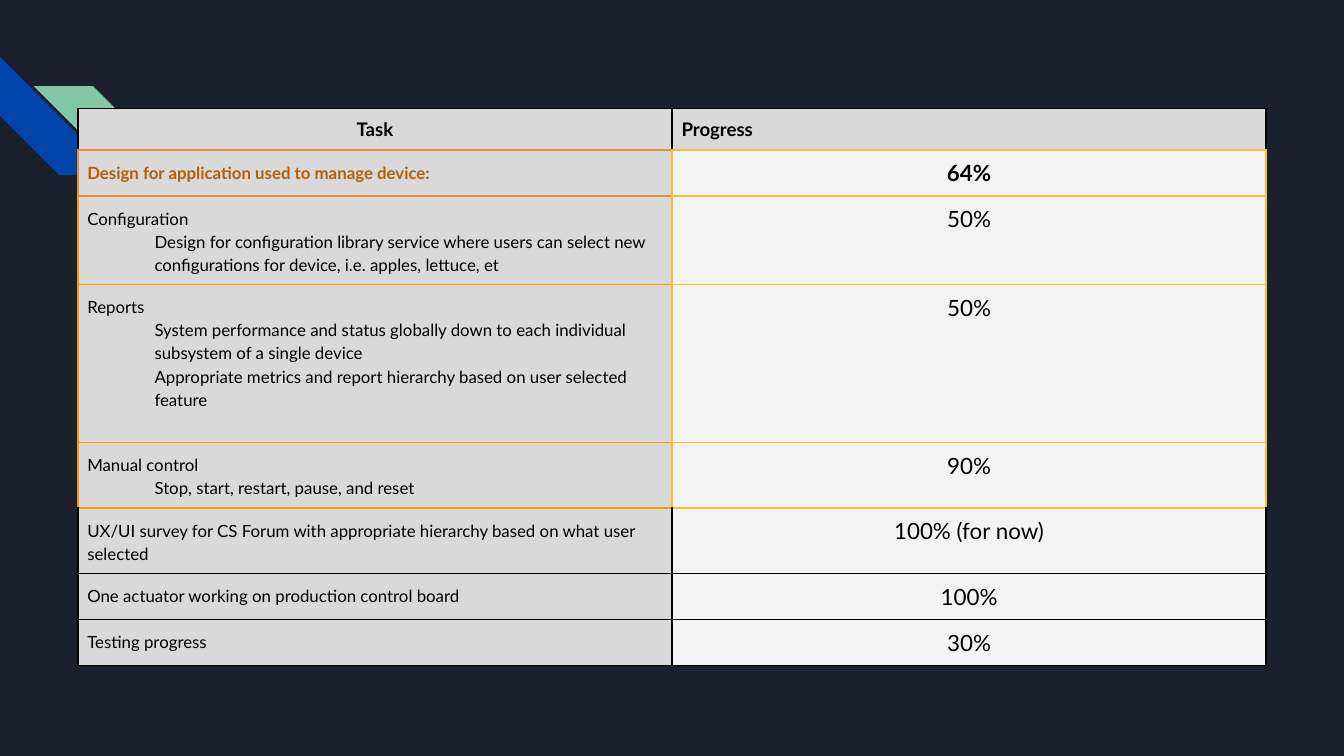
from lxml.etree import SubElement
from pptx import Presentation
from pptx.dml.color import RGBColor
from pptx.enum.shapes import MSO_SHAPE as Shape
from pptx.enum.text import PP_ALIGN as Align
from pptx.oxml.ns import qn
from pptx.util import Cm, Pt

BLACK, AMBER, ORANGE, GOLD = "000000", "E69138", "FF9900", "F1C232"
GREY, PALE = "D9D9D9", "F3F3F3"


def paint(fill, colour):
    fill.solid()
    fill.fore_color.rgb = RGBColor.from_string(colour)


def fill_cell(cell, lines, size, bold, colour, align, spacing, background, edges):
    cell.margin_left = cell.margin_right = Cm(0.18)
    cell.margin_top = cell.margin_bottom = Cm(0.18)
    properties = cell._tc.get_or_add_tcPr()
    for side, edge in zip("LRTB", edges):
        border = SubElement(properties, qn(f"a:ln{side}"), w=str(Pt(1)))
        solid = SubElement(border, qn("a:solidFill"))
        SubElement(solid, qn("a:srgbClr"), val=edge)
    paint(cell.fill, background)
    cell.text = "\n".join(lines)
    for index, paragraph in enumerate(cell.text_frame.paragraphs):
        paragraph.alignment = align
        paragraph.line_spacing = spacing
        paragraph.font.name = "Lato"
        paragraph.font.size = Pt(size)
        paragraph.font.bold = bold
        paint(paragraph.font.fill, colour)
        if index:
            indent = paragraph._p.get_or_add_pPr()
            indent.set("marL", str(Cm(1.27)))
            indent.set("indent", "0")


prs = Presentation()
prs.slide_width, prs.slide_height = Cm(25.4), Cm(14.29)
slide = prs.slides.add_slide(prs.slide_layouts[6])
paint(slide.background.fill, "1B212C")

for left, top, rotation, colour in [(0, 1.07, 270, "0145AC"), (0.64, 1.63, 90, "82C7A5")]:
    stripe = slide.shapes.add_shape(Shape.DIAGONAL_STRIPE, Cm(left), Cm(top), Cm(2.24), Cm(2.24))
    stripe.rotation = rotation
    stripe.shadow.inherit = False
    paint(stripe.fill, colour)
    stripe.line.fill.background()

all_black, all_gold = [BLACK] * 4, [GOLD] * 4
orange_task = [ORANGE, GOLD, ORANGE, ORANGE]
tasks = [
    (["Design for application used to manage device:"], "64%", 0.86,
     [AMBER, GOLD, AMBER, AMBER], all_gold),
    (["Configuration",
      "Design for configuration library service where users can select new "
      "configurations for device, i.e. apples, lettuce, et"],
     "50%", 1.66, [ORANGE, GOLD, AMBER, ORANGE], all_gold),
    (["Reports",
      "System performance and status globally down to each individual "
      "subsystem of a single device",
      "Appropriate metrics and report hierarchy based on user selected feature"],
     "50%", 2.99, orange_task, all_gold),
    (["Manual control", "Stop, start, restart, pause, and reset"],
     "90%", 1.23, orange_task, all_gold),
    (["UX/UI survey for CS Forum with appropriate hierarchy based on what user selected"],
     "100% (for now)", 1.23,
     [BLACK, BLACK, ORANGE, BLACK], [BLACK, BLACK, GOLD, BLACK]),
    (["One actuator working on production control board"], "100%", 0.86, all_black, all_black),
    (["Testing progress"], "30%", 0.86, all_black, all_black),
]

header_height = 0.78
total_height = header_height + sum(task[2] for task in tasks)
progress_table = slide.shapes.add_table(
    len(tasks) + 1, 2, Cm(1.47), Cm(2.05), Cm(22.46), Cm(total_height)).table
progress_table.first_row = False
progress_table.horz_banding = False

headings = [("Task", Align.CENTER, AMBER), ("Progress", Align.LEFT, GOLD)]
progress_table.rows[0].height = Cm(header_height)
for column, (heading, align, bottom) in enumerate(headings):
    fill_cell(progress_table.cell(0, column), [heading], 10, True, BLACK, align, 1, GREY,
              [BLACK, BLACK, BLACK, bottom])

for row, (lines, progress, height, task_edges, progress_edges) in enumerate(tasks, 1):
    progress_table.rows[row].height = Cm(height)
    is_main = row == 1
    fill_cell(progress_table.cell(row, 0), lines, 9, is_main, "B45F06" if is_main else BLACK,
              Align.LEFT, 1.15, GREY, task_edges)
    fill_cell(progress_table.cell(row, 1), [progress], 12, is_main, BLACK,
              Align.CENTER, 1, PALE, progress_edges)

prs.save("out.pptx")
